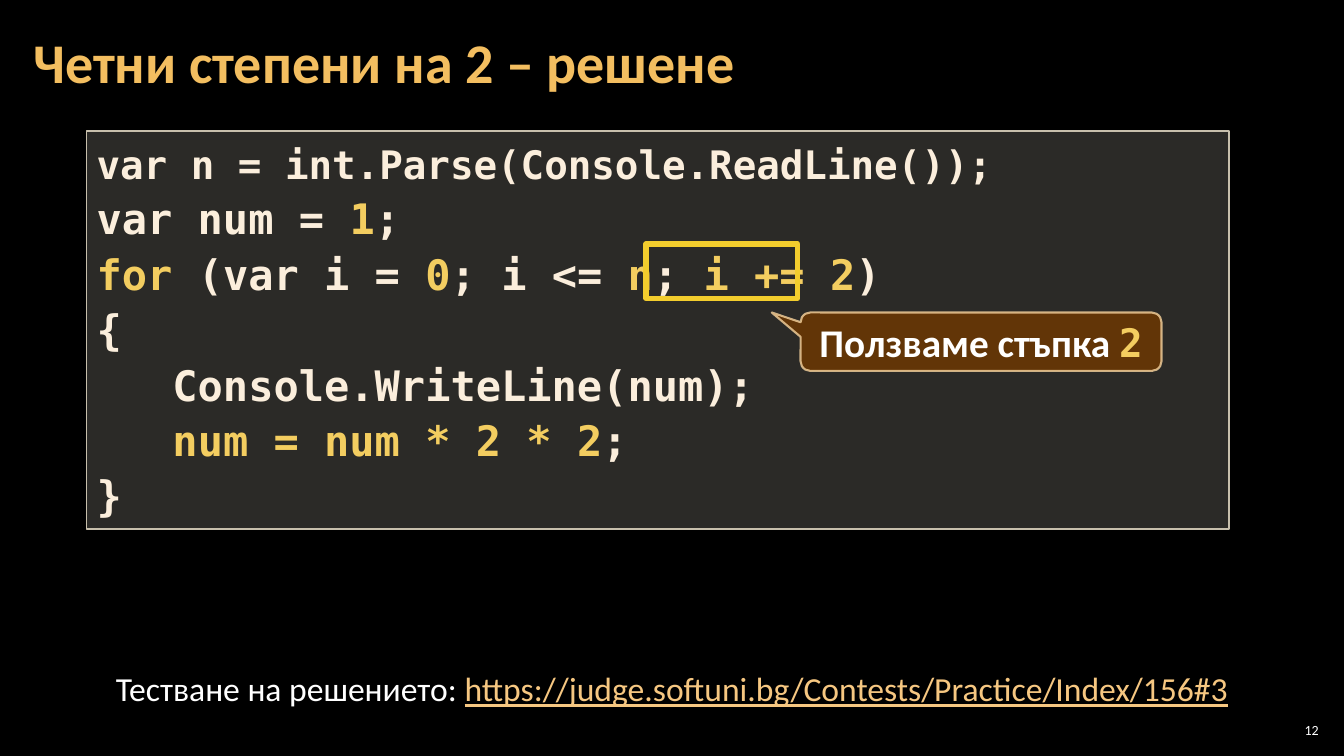
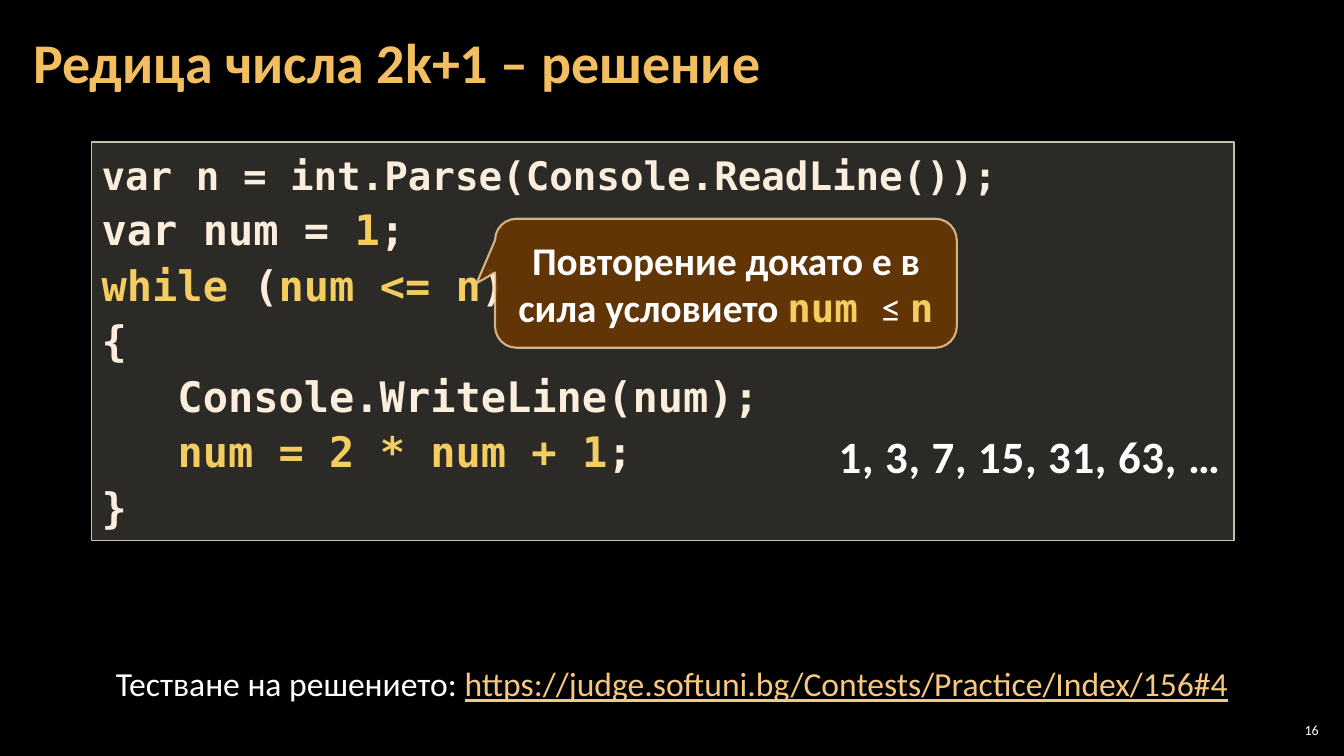
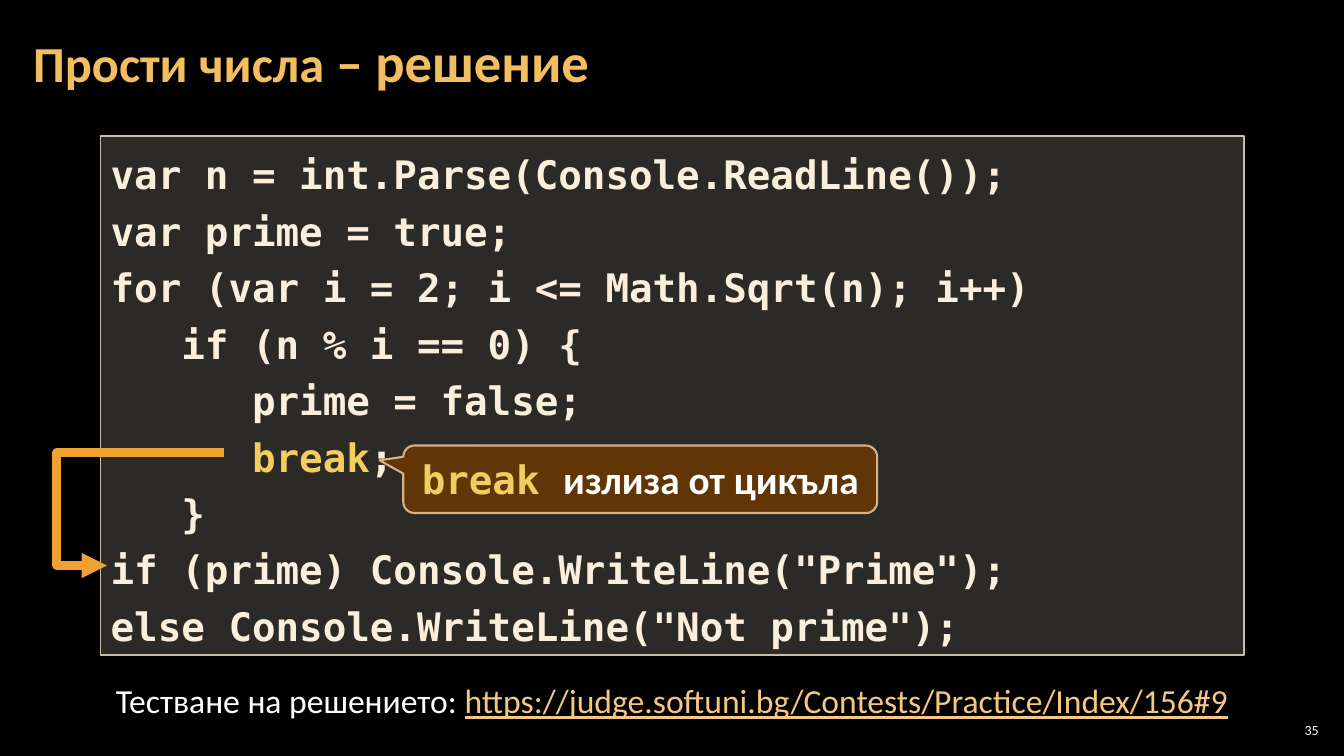
import lxml.etree
import pptx
import pptx.dml.color
import pptx.enum.shapes
import pptx.enum.text
import pptx.oxml
import pptx.oxml.ns
import pptx.util

PX = 9144
COLORS = {
    "background": "000000",
    "title": "F3BE60",
    "text": "FFFFFF",
    "link": "F6C781",
    "code": "FBEEDC",
    "highlight": "F3CD60",
    "panel": "D9D5C7",
    "panel_line": "C7BFAC",
    "frame": "F3CD2D",
    "callout": "663606",
    "callout_line": "F8D49E",
    "arrow": "F0A22E",
    "sequence": "FEFEFE",
}
SANS = "Calibri"
MONO = "DejaVu Sans Mono"
JUDGE = "https://judge.softuni.bg/Contests/Practice/Index/156#"
ALIGN = pptx.enum.text.PP_ALIGN
ANCHOR = pptx.enum.text.MSO_ANCHOR
AUTO_SIZE = pptx.enum.text.MSO_AUTO_SIZE
SHAPES = pptx.enum.shapes.MSO_SHAPE


def px(*lengths):
    return [length * PX for length in lengths]


def color(name):
    return pptx.dml.color.RGBColor.from_string(COLORS[name])


def sub_element(parent, tag, **attributes):
    return lxml.etree.SubElement(parent, pptx.oxml.ns.qn(tag), **attributes)


def set_alpha(fill_parent, percent):
    solid_color = fill_parent.find(pptx.oxml.ns.qn("a:solidFill"))[0]
    sub_element(solid_color, "a:alpha", val=str(percent * 1000))


def add_run(paragraph, text, size, color_name="text", name=SANS, bold=False, underline=None):
    run = paragraph.add_run()
    run.text = text
    font = run.font
    font.size = pptx.util.Pt(size)
    font.name = name
    font.bold = bold
    font.underline = underline
    font.color.rgb = color(color_name)
    return run


def set_frame(shape, anchor=ANCHOR.TOP, margins=(10, 5), wrap=True, grow=False):
    frame = shape.text_frame
    frame.word_wrap = wrap
    frame.auto_size = AUTO_SIZE.SHAPE_TO_FIT_TEXT if grow else AUTO_SIZE.NONE
    frame.vertical_anchor = anchor
    frame.margin_left = frame.margin_right = margins[0] * PX
    frame.margin_top = frame.margin_bottom = margins[1] * PX
    return frame


def add_text(slide, box, align=ALIGN.LEFT, **frame_options):
    shape = slide.shapes.add_textbox(*px(*box))
    paragraph = set_frame(shape, **frame_options).paragraphs[0]
    paragraph.alignment = align
    return paragraph


def add_shape(slide, kind, box, line_name, line_width, fill_name=None, fill_alpha=100):
    shape = slide.shapes.add_shape(kind, *px(*box))
    shape.shadow.inherit = False
    shape.line.color.rgb = color(line_name)
    shape.line.width = pptx.util.Pt(line_width)
    if fill_name:
        shape.fill.solid()
        shape.fill.fore_color.rgb = color(fill_name)
        set_alpha(shape._element.spPr, fill_alpha)
    else:
        shape.fill.background()
    return shape


def add_base(presentation, title_runs, number):
    slide = presentation.slides.add_slide(presentation.slide_layouts[6])
    slide.background.fill.solid()
    slide.background.fill.fore_color.rgb = color("background")
    title = add_text(slide, (21, 4, 1047, 121), anchor=ANCHOR.MIDDLE, margins=(12, 4))
    title.line_spacing = 0.9
    for text, size in title_runs:
        add_run(title, text, size, "title", bold=True)
    footer = add_text(slide, (1265, 714, 47, 21), ALIGN.RIGHT, anchor=ANCHOR.MIDDLE, margins=(4, 4))
    add_run(footer, str(number), 10)
    return slide


def add_code(slide, box, lines, first_size, size, spacing):
    panel = add_shape(slide, SHAPES.RECTANGLE, box, "panel_line", 1, "panel", 20)
    frame = set_frame(panel, grow=True)
    for index, line in enumerate(lines):
        paragraph = frame.add_paragraph() if index else frame.paragraphs[0]
        paragraph.alignment = ALIGN.LEFT
        paragraph.line_spacing = spacing
        for position, text in enumerate(line.split("|")):
            if text:
                color_name = "highlight" if position % 2 else "code"
                add_run(paragraph, text, size if index else first_size, color_name, MONO, True)


def add_callout(slide, box, tip, runs):
    callout = add_shape(slide, SHAPES.ROUNDED_RECTANGULAR_CALLOUT, box, "callout_line", 1.5, "callout", 95)
    set_alpha(callout.line._ln, 80)
    callout.adjustments[0], callout.adjustments[1] = tip
    paragraph = set_frame(callout, anchor=ANCHOR.MIDDLE).paragraphs[0]
    paragraph.alignment = ALIGN.CENTER
    for text, is_code, bold in runs:
        add_run(paragraph, text, 28, "highlight" if is_code else "text", MONO if is_code else SANS, bold)


def add_judge_link(slide, top, problem):
    paragraph = add_text(slide, (83, top, 1167, 50), ALIGN.CENTER, grow=True)
    add_run(paragraph, "Тестване на решението: ", 24)
    add_run(paragraph, f"{JUDGE}{problem}", 24, "link", underline=True)


def add_sequence(slide, box, text):
    paragraph = add_text(slide, box, wrap=False, grow=True)
    properties = add_run(paragraph, text, 32, "sequence", bold=True).font._element
    properties.set("spc", "50")
    outline = pptx.oxml.parse_xml(
        f'<a:ln {pptx.oxml.ns.nsdecls("a")} w="9525"><a:solidFill>'
        f'<a:srgbClr val="{COLORS["arrow"]}"/></a:solidFill></a:ln>')
    properties.insert(0, outline)
    effects = pptx.oxml.parse_xml(
        f'<a:effectLst {pptx.oxml.ns.nsdecls("a")}><a:outerShdw blurRad="38100" dist="22860" dir="2700000">'
        f'<a:srgbClr val="{COLORS["arrow"]}"><a:alpha val="60000"/></a:srgbClr></a:outerShdw></a:effectLst>')
    properties.find(pptx.oxml.ns.qn("a:solidFill")).addnext(effects)


def add_jump_arrow(slide, start, end, bend):
    arrow = slide.shapes.add_connector(pptx.enum.shapes.MSO_CONNECTOR.ELBOW, *px(*start, *end))
    arrow.line.color.rgb = color("arrow")
    arrow.line.width = pptx.util.Pt(6)
    sub_element(arrow.line._ln, "a:tailEnd", type="triangle")
    properties = arrow._element.spPr
    sub_element(properties, "a:effectLst")
    adjustments = properties.find(".//" + pptx.oxml.ns.qn("a:avLst"))
    sub_element(adjustments, "a:gd", name="adj1", fmla=f"val {round(bend * 100000)}")


def build_even_powers(presentation):
    slide = add_base(presentation, [("Четни степени на 2 – решене", 40)], 12)
    add_code(slide, (86, 130, 1133, 395), [
        "var n = int.Parse(Console.ReadLine());",
        "var num = |1|;",
        "|for| (var i = |0|; i <= |n|; |i += 2|)",
        "{",
        "   Console.WriteLine(num);",
        "   |num = num * 2 * 2|;",
        "}",
    ], 28, 30, 1.1)
    add_shape(slide, SHAPES.RECTANGLE, (641, 242, 150, 54), "frame", 4)
    add_judge_link(slide, 658, 3)
    add_callout(slide, (794, 310, 358, 58), (-0.58, -0.5), [
        ("Ползваме стъпка ", False, True), ("2", True, True)])


def build_number_row(presentation):
    slide = add_base(presentation, [("Редица числа 2k+1 – решение", 40)], 16)
    add_code(slide, (91, 141, 1133, 395), [
        "var n = int.Parse(Console.ReadLine());",
        "var num = |1|;",
        "|while |(|num <= n|)",
        "{",
        "   Console.WriteLine(num);",
        "   |num = 2 * num + 1|;",
        "}",
    ], 28, 30, 1.1)
    add_judge_link(slide, 653, 4)
    add_callout(slide, (491, 217, 458, 128), (-0.54, 0), [
        ("Повторение докато е в сила условието ", False, True),
        ("num ", True, True), ("≤ ", False, False), ("n", True, True)])
    add_sequence(slide, (822, 420, 403, 64), "1, 3, 7, 15, 31, 63, …")


def build_primes(presentation):
    slide = add_base(presentation, [("Прости числа ", 36), ("– решение", 39)], 35)
    add_code(slide, (100, 135, 1134, 515), [
        "var n = int.Parse(Console.ReadLine());",
        "var prime = true;",
        "for (var i = 2; i <= Math.Sqrt(n); i++)",
        "   if (n % i == 0) {",
        "      prime = false;",
        "      |break|;",
        "   }",
        'if (prime) Console.WriteLine("Prime");',
        'else Console.WriteLine("Not prime");',
    ], 28, 28, 1.2)
    add_judge_link(slide, 670, 9)
    add_callout(slide, (400, 442, 470, 67), (-0.55, -0.28), [
        ("break ", True, True), ("излиза от цикъла", False, True)])
    add_jump_arrow(slide, (222, 449), (106, 561), 1.43)


def main():
    presentation = pptx.Presentation()
    presentation.slide_width, presentation.slide_height = px(1333, 750)
    build_even_powers(presentation)
    build_number_row(presentation)
    build_primes(presentation)
    presentation.save("out.pptx")


if __name__ == "__main__":
    main()
